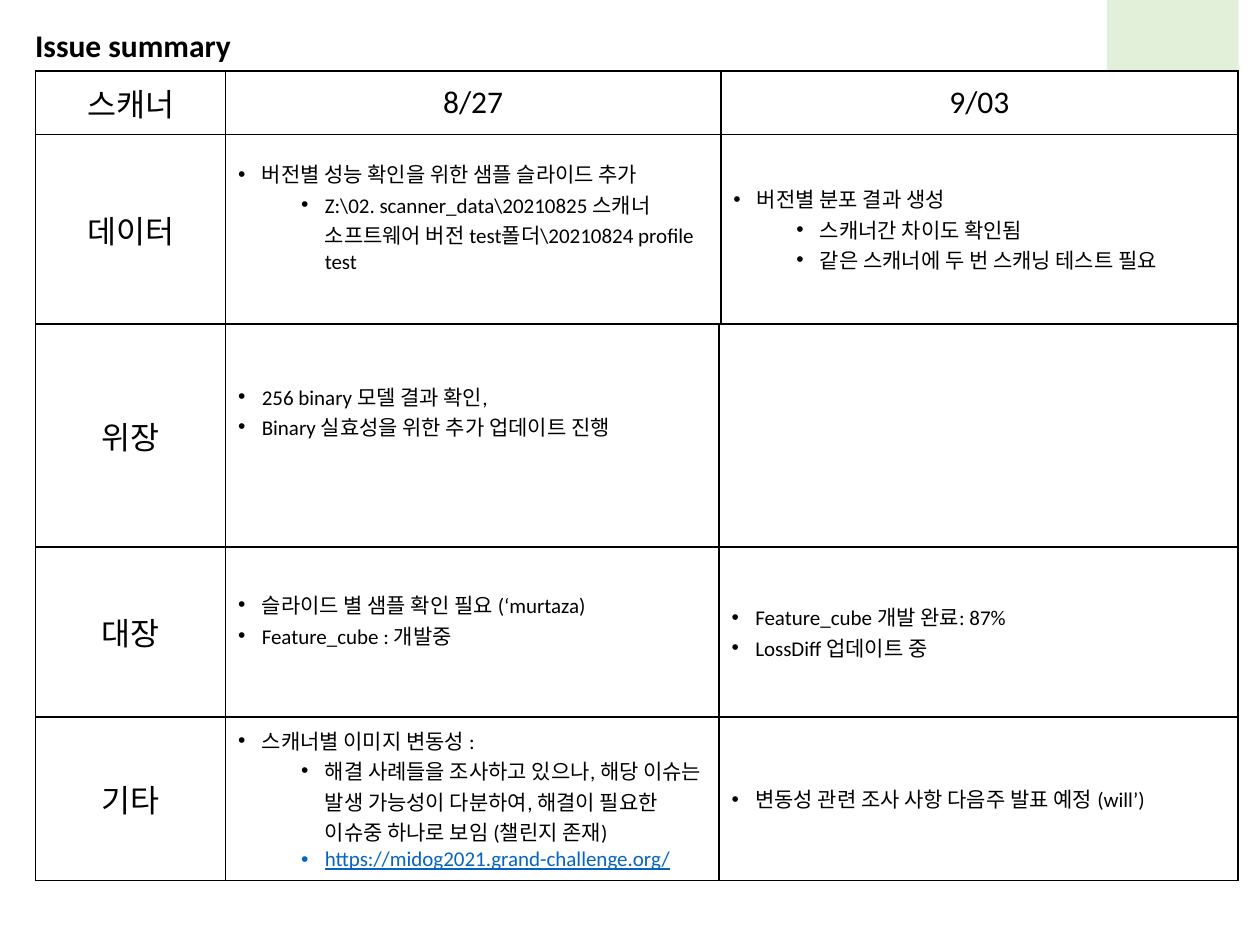
import dataclasses

import pptx
import pptx.dml.color
import pptx.enum.shapes
import pptx.enum.text
import pptx.oxml
import pptx.oxml.ns
import pptx.util

Pt = pptx.util.Pt
PP_ALIGN = pptx.enum.text.PP_ALIGN


@dataclasses.dataclass(frozen=True)
class Theme:
    font: str = "Calibri"
    ink: str = "000000"
    paper: str = "FFFFFF"
    accent: str = "E2F0D9"
    link: str = "0563C1"
    heading: int = 18
    body: int = 12
    border: int = 1
    bullet_hang: float = 13.5
    level_step: int = 36
    spare_line: int = 14


theme = Theme()
rgb = pptx.dml.color.RGBColor.from_string


def write(paragraph, text, *, size=theme.heading, color=theme.ink, bold=False,
          underline=False, align=PP_ALIGN.LEFT, level=None):
    """Put formatted text in a paragraph; a level makes it a bullet."""
    if level is not None:
        paragraph.level = level
        properties = paragraph._p.get_or_add_pPr()
        left = theme.bullet_hang + theme.level_step * level
        properties.set("marL", str(Pt(left)))
        properties.set("indent", str(-Pt(theme.bullet_hang)))
        for tag, key, value in (("buFont", "typeface", "Arial"), ("buChar", "char", "•")):
            pptx.oxml.ns.qn("a:" + tag)
            properties.append(pptx.oxml.parse_xml(
                f'<a:{tag} {pptx.oxml.ns.nsdecls("a")} {key}="{value}"/>'))
    paragraph.alignment = align
    run = paragraph.add_run()
    run.text = text
    run.font.name = theme.font
    run.font.size = Pt(size)
    run.font.bold = bold
    run.font.underline = underline
    run.font.color.rgb = rgb(color)


def frame_cell(cell):
    """Give a cell black borders on all sides and a plain fill."""
    properties = cell._tc.get_or_add_tcPr()
    for side in ("lnL", "lnR", "lnT", "lnB"):
        properties.append(pptx.oxml.parse_xml(
            f'<a:{side} {pptx.oxml.ns.nsdecls("a")} w="{Pt(theme.border)}">'
            f'<a:solidFill><a:srgbClr val="{theme.ink}"/></a:solidFill></a:{side}>'))
    cell.fill.solid()
    cell.fill.fore_color.rgb = rgb(theme.paper)
    cell.vertical_anchor = pptx.enum.text.MSO_ANCHOR.MIDDLE


# Content: a string is a heading, a list holds (level, text) bullets
scanner_rows = [
    ["스캐너", "8/27", "9/03"],
    ["데이터",
     [(0, "버전별 성능 확인을 위한 샘플 슬라이드 추가"),
      (1, "Z:\\02. scanner_data\\20210825 스캐너 소프트웨어 버전 test폴더\\20210824 profile test")],
     [(0, "버전별 분포 결과 생성"),
      (1, "스캐너간 차이도 확인됨"),
      (1, "같은 스캐너에 두 번 스캐닝 테스트 필요")]],
    ["", "", ""],
]
organ_rows = [
    ["위장",
     [(0, "256 binary 모델 결과 확인,"),
      (0, "Binary 실효성을 위한 추가 업데이트 진행")],
     ""],
    ["대장",
     [(0, "슬라이드 별 샘플 확인 필요 (‘murtaza)"),
      (0, "Feature_cube : 개발중")],
     [(0, "Feature_cube 개발 완료: 87%"),
      (0, "LossDiff 업데이트 중")]],
    ["기타",
     [(0, "스캐너별 이미지 변동성 :"),
      (1, "해결 사례들을 조사하고 있으나, 해당 이슈는 발생 가능성이 다분하여, "
          "해결이 필요한 이슈중 하나로 보임 (챌린지 존재)"),
      (1, "https://midog2021.grand-challenge.org/")],
     [(0, "변동성 관련 조사 사항 다음주 발표 예정 (will’)")]],
]
# Room kept below the text, in lines, by row label (first date column)
spare_lines = {"데이터": 1, "위장": 2, "대장": 1}

# Slide
deck = pptx.Presentation()
deck.slide_width, deck.slide_height = Pt(720), Pt(540)
slide = deck.slides.add_slide(deck.slide_layouts[6])

# Green corner
corner = slide.shapes.add_shape(pptx.enum.shapes.MSO_SHAPE.RECTANGLE,
                                Pt(632.5), Pt(-10.8), Pt(75.3), Pt(103.7))
corner.shadow.inherit = False
corner.fill.solid()
corner.fill.fore_color.rgb = rgb(theme.accent)
corner.line.fill.background()

# Title
title = slide.shapes.add_textbox(Pt(13), Pt(11.6), Pt(225.4), Pt(29)).text_frame
title.word_wrap = True
write(title.paragraphs[0], "Issue summary", bold=True)

# Issue tables, the second one laid over the last row of the first
for top, widths, heights, rows in (
    (40.5, (108.5, 283, 295.5), (36.5, 108, 108), scanner_rows),
    (185.2, (108.5, 282, 296.5), (127.5, 97, 93.6), organ_rows),
):
    issues = slide.shapes.add_table(len(rows), len(widths), Pt(20.4), Pt(top),
                                    Pt(sum(widths)), Pt(sum(heights))).table
    issues.first_row = issues.horz_banding = False
    for column, width in zip(issues.columns, widths):
        column.width = Pt(width)
    for r, (height, entries) in enumerate(zip(heights, rows)):
        issues.rows[r].height = Pt(height)
        for c, entry in enumerate(entries):
            cell = issues.cell(r, c)
            frame_cell(cell)
            if c == 1 and entries[0] in spare_lines:
                cell.margin_bottom = Pt(3.6 + theme.spare_line * spare_lines[entries[0]])
            frame = cell.text_frame
            if isinstance(entry, str):
                if entry:
                    write(frame.paragraphs[0], entry, align=PP_ALIGN.CENTER)
                continue
            for i, (level, text) in enumerate(entry):
                paragraph = frame.add_paragraph() if i else frame.paragraphs[0]
                is_link = text.startswith("https")
                write(paragraph, text, size=theme.body, level=level, underline=is_link,
                      color=theme.link if is_link else theme.ink)

deck.save("out.pptx")
